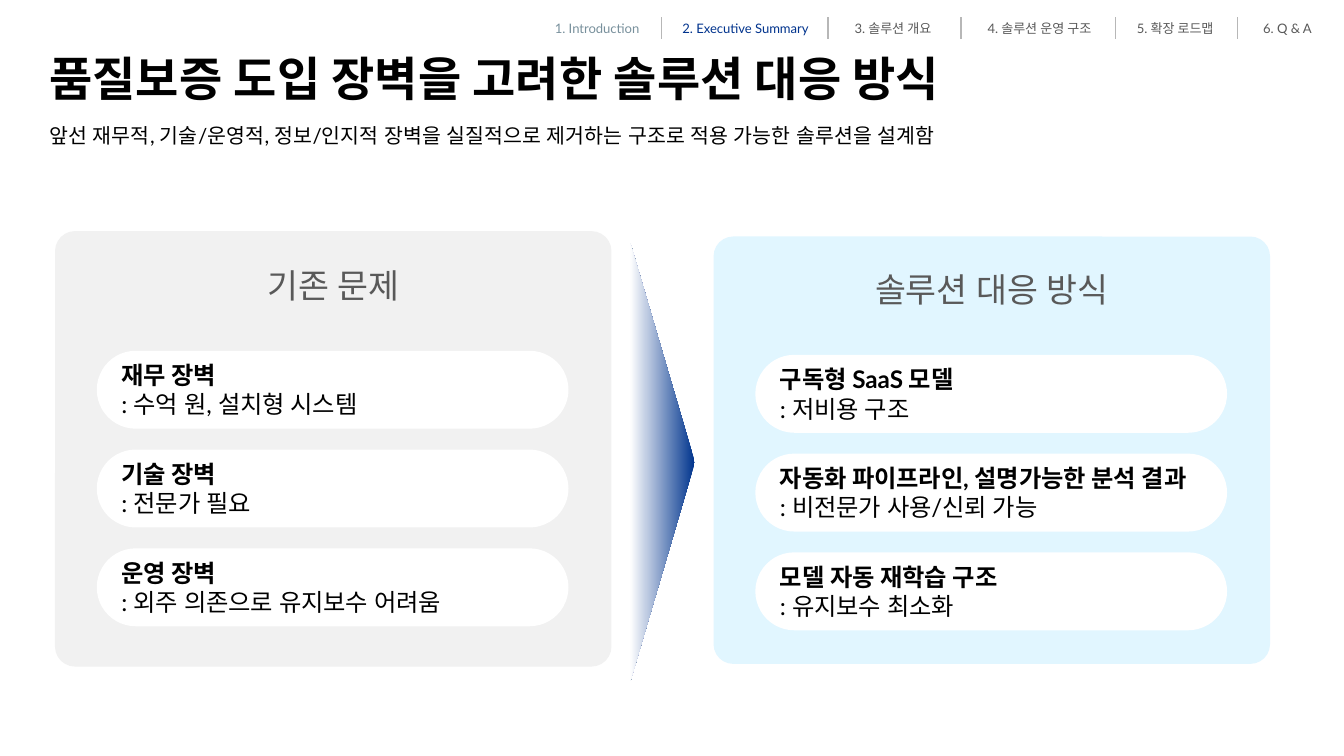
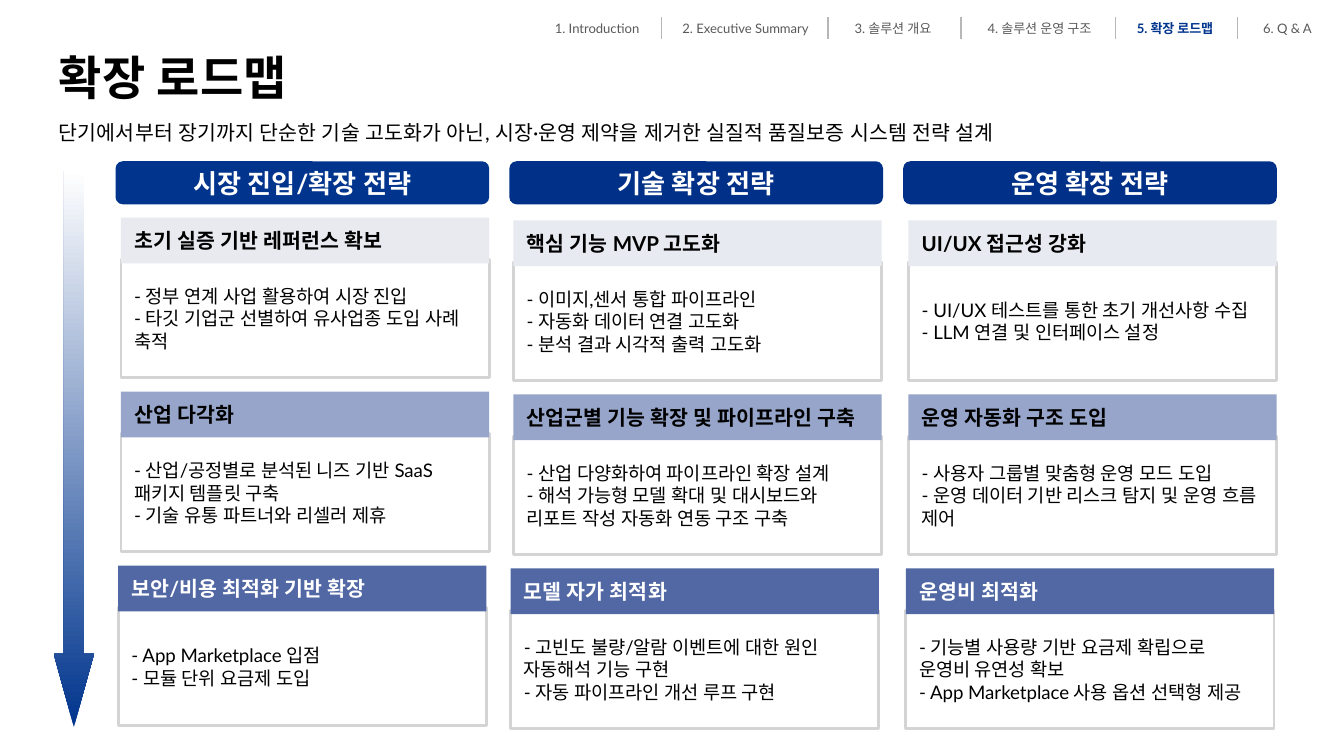
from lxml import etree
from pptx import Presentation
from pptx.dml.color import RGBColor
from pptx.enum.lang import MSO_LANGUAGE_ID as LANGUAGE
from pptx.enum.shapes import MSO_CONNECTOR, MSO_SHAPE as SHAPE
from pptx.enum.text import MSO_ANCHOR as ANCHOR, MSO_AUTO_SIZE as AUTO, PP_ALIGN as ALIGN
from pptx.oxml.ns import qn
from pptx.util import Inches, Pt

FONT = "Lato"
NAVY, DEEP_NAVY = "00348D", "003087"
BLACK, WHITE, GRAY = "000000", "FFFFFF", "595959"
DIVIDER, CARD_BORDER = "B7B7B7", "D4D4D4"

NAV_ITEMS = [
    ("1. Introduction", 4.03, 0.96),
    ("2. Executive Summary", 4.98, 1.16),
    ("3. 솔루션 개요", 6.26, 0.81),
    ("4. 솔루션 운영 구조", 7.25, 1.16),
    ("5. 확장 로드맵", 8.36, 0.81),
    ("6. Q & A", 9.3, 0.61),
]
NAV_DIVIDERS = [4.92, 6.16, 7.15, 8.3, 9.21]

BARRIERS = [
    ("재무 장벽", ": 수억 원, 설치형 시스템"),
    ("기술 장벽", ": 전문가 필요"),
    ("운영 장벽", ": 외주 의존으로 유지보수 어려움"),
]
RESPONSES = [
    ("구독형 SaaS 모델", ": 저비용 구조"),
    ("자동화 파이프라인, 설명가능한 분석 결과", ": 비전문가 사용/신뢰 가능"),
    ("모델 자동 재학습 구조", ": 유지보수 최소화"),
]

MARKET_STAGES = [
    ("초기 실증 기반 레퍼런스 확보",
     ["- 정부 연계 사업 활용하여 시장 진입",
      "- 타깃 기업군 선별하여 유사업종 도입 사례 축적"]),
    ("산업 다각화",
     ["- 산업/공정별로 분석된 니즈 기반 SaaS 패키지 템플릿 구축",
      "- 기술 유통 파트너와 리셀러 제휴"]),
    ("보안/비용 최적화 기반 확장",
     ["- App Marketplace 입점",
      "- 모듈 단위 요금제 도입"]),
]
TECH_STAGES = [
    ("핵심 기능 MVP 고도화",
     ["- 이미지,센서 통합 파이프라인",
      "- 자동화 데이터 연결 고도화",
      "- 분석 결과 시각적 출력 고도화"]),
    ("산업군별 기능 확장 및 파이프라인 구축",
     ["- 산업 다양화하여 파이프라인 확장 설계",
      "- 해석 가능형 모델 확대 및 대시보드와 리포트 작성 자동화 연동 구조 구축"]),
    ("모델 자가 최적화",
     ["- 고빈도 불량/알람 이벤트에 대한 원인 자동해석 기능 구현",
      "- 자동 파이프라인 개선 루프 구현"]),
]
OPERATION_STAGES = [
    ("UI/UX 접근성 강화",
     ["- UI/UX 테스트를 통한 초기 개선사항 수집",
      "- LLM 연결 및 인터페이스 설정"]),
    ("운영 자동화 구조 도입",
     ["- 사용자 그룹별 맞춤형 운영 모드 도입",
      "- 운영 데이터 기반 리스크 탐지 및 운영 흐름 제어"]),
    ("운영비 최적화",
     ["- 기능별 사용량 기반 요금제 확립으로 운영비 유연성 확보",
      "- App Marketplace 사용 옵션 선택형 제공"]),
]
STRATEGIES = [
    ("시장 진입/확장 전략", NAVY, 0.9, 1.62, "E9EAF0", MARKET_STAGES),
    ("기술 확장 전략", DEEP_NAVY, 3.82, 1.64, "E8EAF1", TECH_STAGES),
    ("운영 확장 전략", DEEP_NAVY, 6.76, 1.64, "E8EAF1", OPERATION_STAGES),
]


def color(hex_value):
    return RGBColor.from_string(hex_value)


def write(holder, lines, size, ink=BLACK, bold=False, align=ALIGN.LEFT, anchor=ANCHOR.TOP):
    frame = holder.text_frame
    frame.word_wrap = True
    frame.vertical_anchor = anchor
    frame.margin_left = frame.margin_right = Inches(0.1)
    frame.margin_top = frame.margin_bottom = Inches(0.1)
    frame.text = "\n".join(lines)
    for paragraph in frame.paragraphs:
        paragraph.alignment = align
        for run in paragraph.runs:
            run.font.name = FONT
            run.font.size = Pt(size)
            run.font.bold = bold
            run.font.language_id = LANGUAGE.KOREAN
            run.font.color.rgb = color(ink)
            latin = run.font._element.find(qn("a:latin"))
            latin.addnext(etree.Element(qn("a:ea"), typeface=FONT))
    return frame


def add_label(shapes, box, text, size, grow=False, **style):
    label = shapes.add_textbox(*map(Inches, box))
    frame = write(label, [text], size, **style)
    if grow:
        frame.auto_size = AUTO.SHAPE_TO_FIT_TEXT


def add_block(slide, kind, box, fill=None, border=None, rounding=None):
    block = slide.shapes.add_shape(kind, *map(Inches, box))
    block.shadow.inherit = False
    if rounding is not None:
        block.adjustments[0] = rounding
    if fill:
        block.fill.solid()
        block.fill.fore_color.rgb = color(fill)
    else:
        block.fill.background()
    if border:
        block.line.color.rgb = color(border)
        block.line.width = Pt(1.5)
    else:
        block.line.fill.background()
    return block


def fade(block, angle):
    block.fill.gradient()
    block.fill.gradient_angle = angle
    for stop, position, tint in zip(block.fill.gradient_stops, (0, 1), (NAVY, WHITE)):
        stop.position = position
        stop.color.rgb = color(tint)


def add_divider(shapes, x):
    divider = shapes.add_connector(
        MSO_CONNECTOR.STRAIGHT, Inches(x), Inches(0.13), Inches(x), Inches(0.29))
    divider.line.color.rgb = color(DIVIDER)
    divider.line.width = Pt(0.75)
    etree.SubElement(divider._element.spPr, qn("a:effectLst"))


def add_navigation(slide, inks, bold_item=None):
    navigation = slide.shapes.add_group_shape().shapes
    for number, (text, x, width) in enumerate(NAV_ITEMS, 1):
        add_label(navigation, (x, 0.09, width, 0.32), text, 7, grow=True,
                  ink=inks.get(number, GRAY), bold=number == bold_item)
    for x in NAV_DIVIDERS:
        add_divider(navigation, x)


def add_heading(slide, x, title, title_top, subtitle, subtitle_top):
    add_label(slide.shapes, (x, subtitle_top, 9.32, 0.28), subtitle, 11)
    add_label(slide.shapes, (x, title_top, 9.32, 0.63), title, 25.2, bold=True)


def add_panel(slide, x, top, height, fill, heading, heading_top, first_pill, pills):
    add_block(slide, SHAPE.ROUNDED_RECTANGLE, (x, top, 4.14, height), fill, rounding=0.046)
    add_label(slide.shapes, (x + 0.88, heading_top, 2.38, 0.5), heading, 18,
              grow=True, ink=GRAY, align=ALIGN.CENTER)
    for row, lines in enumerate(pills):
        pill = add_block(slide, SHAPE.ROUNDED_RECTANGLE,
                         (x + 0.31, first_pill + row * 1.47 / 2, 3.51, 0.58),
                         WHITE, rounding=0.5)
        frame = write(pill, lines, 13, anchor=ANCHOR.MIDDLE)
        frame.paragraphs[0].runs[0].font.bold = True


def add_stage(slide, x, top, fill, ink, heading, tasks):
    body = add_block(slide, SHAPE.RECTANGLE, (x, top + 0.31, 2.74, 0.88), border=CARD_BORDER)
    frame = write(body, tasks, 10, anchor=ANCHOR.MIDDLE)
    frame.margin_right = Inches(0.13)
    band = add_block(slide, SHAPE.RECTANGLE, (x, top, 2.74, 0.34), fill)
    write(band, [heading], 11, ink, bold=True, anchor=ANCHOR.MIDDLE)


def add_strategy(slide, column, name, fill, x, top, first_fill, stages):
    banner = add_block(slide, SHAPE.ROUNDED_RECTANGLE,
                       (0.86 + column * 2.93, 1.2, 2.78, 0.32), fill, rounding=0.167)
    write(banner, [name], 14, WHITE, bold=True, align=ALIGN.CENTER, anchor=ANCHOR.MIDDLE)
    looks = [(first_fill, BLACK, 0), ("96A5C9", BLACK, 0), ("5268A5", WHITE, -0.02)]
    for row, ((tint, ink, shift), (heading, tasks)) in enumerate(zip(looks, stages)):
        add_stage(slide, x + shift, top + row * 2.59 / 2, tint, ink, heading, tasks)


def build_response_slide(slide):
    add_panel(slide, 0.41, 1.72, 3.24, "F1F1F1", "기존 문제", 1.87, 2.61, BARRIERS)
    add_panel(slide, 5.31, 1.76, 3.18, "E1F6FF", "솔루션 대응 방식", 1.9, 2.64, RESPONSES)
    pointer = add_block(slide, SHAPE.ISOSCELES_TRIANGLE, (3.3, 3.2, 3.26, 0.48))
    pointer.rotation = 90
    fade(pointer, 270)
    add_heading(slide, 0.27, "품질보증 도입 장벽을 고려한 솔루션 대응 방식", 0.27,
                "앞선 재무적, 기술/운영적, 정보/인지적 장벽을 실질적으로 제거하는 구조로 "
                "적용 가능한 솔루션을 설계함", 0.82)
    add_navigation(slide, {1: "78909C", 2: "00338D"})


def build_roadmap_slide(slide):
    add_navigation(slide, {5: NAVY}, bold_item=5)
    add_heading(slide, 0.34, "확장 로드맵", 0.26,
                "단기에서부터 장기까지 단순한 기술 고도화가 아닌, 시장·운영 제약을 제거한 "
                "실질적 품질보증 시스템 전략 설계", 0.8)
    timeline = add_block(slide, SHAPE.DOWN_ARROW, (0.4, 1.27, 0.3, 4.14))
    timeline.adjustments[0] = 0.5
    timeline.adjustments[1] = 1.817
    fade(timeline, 90)
    for column, strategy in enumerate(STRATEGIES):
        add_strategy(slide, column, *strategy)


def main():
    deck = Presentation()
    deck.slide_width = Inches(10)
    deck.slide_height = deck.slide_width * 9 // 16
    blank = deck.slide_layouts[6]
    for build in (build_response_slide, build_roadmap_slide):
        build(deck.slides.add_slide(blank))
    deck.save("out.pptx")


if __name__ == "__main__":
    main()
